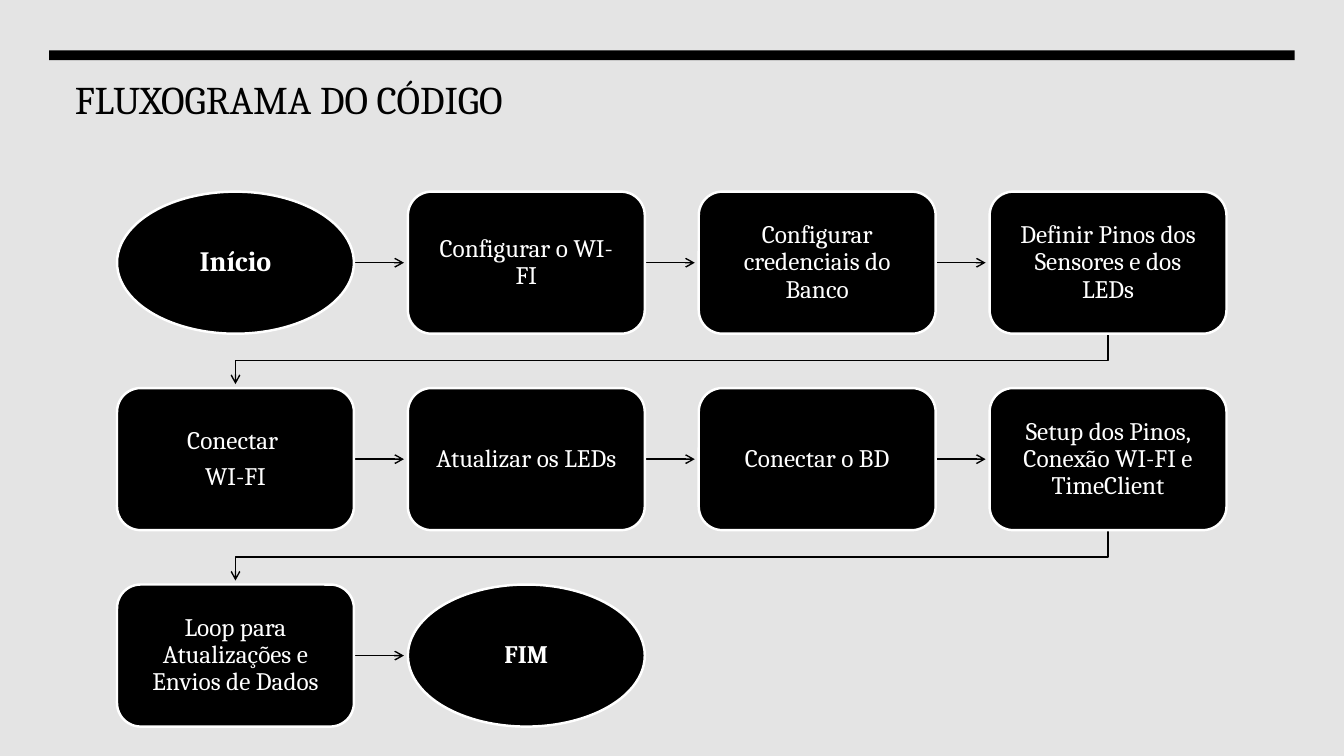
from lxml import etree
from pptx import Presentation
from pptx.dml.color import RGBColor
from pptx.enum.shapes import MSO_CONNECTOR, MSO_SHAPE
from pptx.enum.text import MSO_ANCHOR, PP_ALIGN
from pptx.oxml.ns import qn
from pptx.util import Cm, Pt

OVAL = MSO_SHAPE.OVAL
ROUND = MSO_SHAPE.ROUNDED_RECTANGLE
RECT = MSO_SHAPE.RECTANGLE
LINE = MSO_CONNECTOR.STRAIGHT
LEFT, CENTER = PP_ALIGN.LEFT, PP_ALIGN.CENTER
TOP, MIDDLE = MSO_ANCHOR.TOP, MSO_ANCHOR.MIDDLE

FONT = "Cambria"
COLORS = {"back": "E4E4E4", "ink": "000000", "paper": "FFFFFF"}
COLS = 4
GRID_X, GRID_Y = 2.95, 4.83
STEP_X, STEP_Y = 7.33, 4.95
BOX_W, BOX_H = 5.97, 3.58
GAP = 0.1
BEND = 0.68

STEPS = [
    (OVAL, 20, "Início"),
    (ROUND, 18, "Configurar o WI-FI"),
    (ROUND, 18, "Configurar credenciais do Banco"),
    (ROUND, 18, "Definir Pinos dos Sensores e dos LEDs"),
    (ROUND, 18, "Conectar \nWI-FI"),
    (ROUND, 18, "Atualizar os LEDs"),
    (ROUND, 18, "Conectar o BD"),
    (ROUND, 18, "Setup dos Pinos, Conexão WI-FI e TimeClient"),
    (ROUND, 18, "Loop para Atualizações e Envios de Dados"),
    (OVAL, 18, "FIM"),
]


def color(name):
    return RGBColor.from_string(COLORS[name])


def place(index):
    row, col = divmod(index, COLS)
    return GRID_X + col * STEP_X, GRID_Y + row * STEP_Y


def set_font(para, size, ink, bold=False):
    para.font.name = FONT
    para.font.size = Pt(size)
    para.font.bold = bold
    para.font.color.rgb = color(ink)


def add_title(slide, text):
    title = slide.shapes.title
    title.left, title.top = Cm(1.63), Cm(1.78)
    title.width, title.height = Cm(30.63), Cm(3.05)
    frame = title.text_frame
    frame.text = text
    frame.vertical_anchor = TOP
    para = frame.paragraphs[0]
    para.alignment = LEFT
    set_font(para, 28, "ink")


def add_bar(slide):
    bar = slide.shapes.add_shape(RECT, Cm(1.24), Cm(1.27), Cm(31.39), Cm(0.25))
    bar.shadow.inherit = False
    bar.fill.solid()
    bar.fill.fore_color.rgb = color("ink")
    bar.line.fill.background()


def add_step(slide, index, kind, size, text):
    left, top = place(index)
    box = slide.shapes.add_shape(kind, Cm(left), Cm(top), Cm(BOX_W), Cm(BOX_H))
    box.shadow.inherit = False
    box.fill.solid()
    box.fill.fore_color.rgb = color("ink")
    box.line.color.rgb = color("paper")
    box.line.width = Pt(1.75)
    frame = box.text_frame
    frame.word_wrap = True
    frame.vertical_anchor = MIDDLE
    frame.margin_left = frame.margin_right = Cm(0.36)
    frame.margin_top = frame.margin_bottom = Cm(0.36)
    frame.text = text
    for para in frame.paragraphs:
        para.alignment = CENTER
        para.line_spacing = 0.9
        para.space_after = Pt(size * 0.35)
        set_font(para, size, "paper", kind == OVAL)


def style_arrow(shape):
    shape.line.color.rgb = color("ink")
    shape.line.width = Pt(1)
    line = shape.line._get_or_add_ln()
    etree.SubElement(line, qn("a:tailEnd"), type="arrow")
    etree.SubElement(shape._element.spPr, qn("a:effectLst"))


def add_arrow(slide, index):
    left, top = place(index)
    mid = Cm(top + BOX_H / 2)
    start, end = Cm(left + BOX_W), Cm(left + STEP_X - GAP)
    style_arrow(slide.shapes.add_connector(LINE, start, mid, end, mid))


def add_turn(slide, index):
    left, top = place(index)
    right, low = left + BOX_W / 2, top + BOX_H
    first = GRID_X + BOX_W / 2
    end = top + STEP_Y - GAP
    path = slide.shapes.build_freeform(Cm(right), Cm(low))
    points = [(right, low + BEND), (first, low + BEND), (first, end)]
    path.add_line_segments([(Cm(x), Cm(y)) for x, y in points], close=False)
    turn = path.convert_to_shape()
    turn.fill.background()
    style_arrow(turn)


def main():
    deck = Presentation()
    deck.slide_width, deck.slide_height = Cm(33.87), Cm(19.05)
    slide = deck.slides.add_slide(deck.slide_layouts[5])
    slide.background.fill.solid()
    slide.background.fill.fore_color.rgb = color("back")
    add_title(slide, "FLUXOGRAMA DO CÓDIGO")
    add_bar(slide)
    for index, step in enumerate(STEPS):
        if index < len(STEPS) - 1:
            link = add_turn if index % COLS == COLS - 1 else add_arrow
            link(slide, index)
        add_step(slide, index, *step)
    deck.save("out.pptx")


if __name__ == "__main__":
    main()
